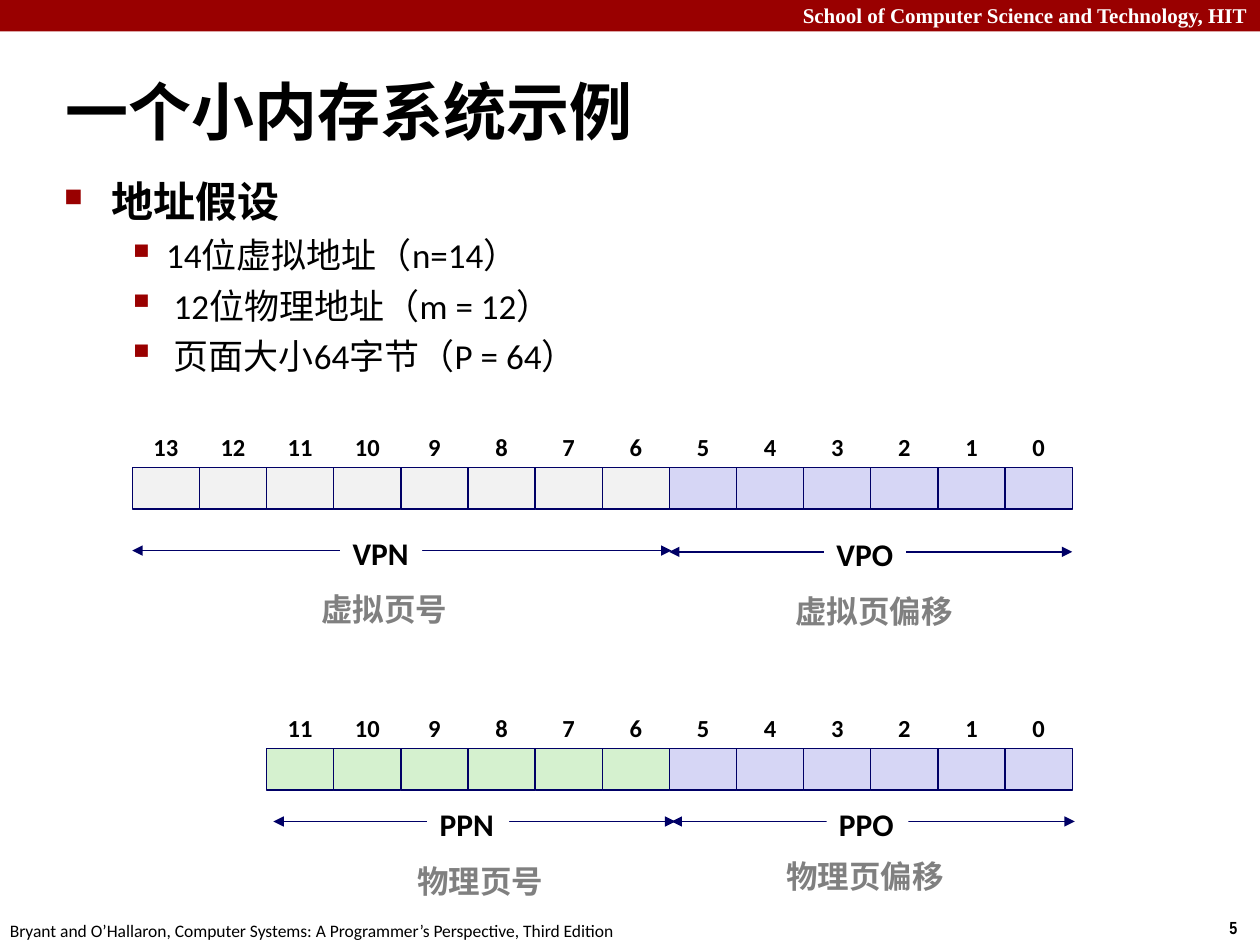
import pptx
import pptx.util
import pptx.dml.color
import pptx.enum.shapes
import pptx.enum.text
import pptx.oxml.ns
import lxml.etree

Inches, Pt = pptx.util.Inches, pptx.util.Pt
RGB = pptx.dml.color.RGBColor
ALIGN = pptx.enum.text.PP_ALIGN
MIDDLE = pptx.enum.text.MSO_ANCHOR.MIDDLE
RECT = pptx.enum.shapes.MSO_SHAPE.RECTANGLE
STRAIGHT = pptx.enum.shapes.MSO_CONNECTOR.STRAIGHT

RED = RGB(0x99, 0x00, 0x00)
NAVY = RGB(0x00, 0x00, 0x66)
BLACK = RGB(0x00, 0x00, 0x00)
WHITE = RGB(0xFF, 0xFF, 0xFF)
GREY = RGB(0x80, 0x80, 0x80)
PALE = RGB(0xF2, 0xF2, 0xF2)
BLUE = RGB(0xD6, 0xD6, 0xF5)
GREEN = RGB(0xD5, 0xF1, 0xCF)

# Bit grid: bit 0 ends at the right edge, each bit is one column
EDGE, COL, ROW = 8.51, 7.46 / 14, 0.33

deck = pptx.Presentation()
deck.slide_width, deck.slide_height = Inches(10), Inches(7.5)
slide = deck.slides.add_slide(deck.slide_layouts[5])
shapes = slide.shapes


def write(box, text, size, color=BLACK, align=ALIGN.LEFT, face="Calibri", bold=True):
    frame = box.text_frame
    frame.word_wrap = False
    frame.vertical_anchor = MIDDLE
    frame.text = text
    para = frame.paragraphs[0]
    para.alignment = align
    font = para.runs[0].font
    font.size, font.name, font.bold = Pt(size), face, bold
    font.color.rgb = color


def add(parent, tag, **attrs):
    return lxml.etree.SubElement(parent, pptx.oxml.ns.qn(tag), **attrs)


# Header band and footer
band = shapes.add_shape(RECT, 0, 0, deck.slide_width, Inches(0.25))
band.shadow.inherit = False
band.fill.solid()
band.fill.fore_color.rgb = RED
band.line.fill.background()
head = shapes.add_textbox(0, Inches(-0.03), deck.slide_width, Inches(0.3))
write(head, "School of Computer Science and Technology, HIT", 12, WHITE,
      ALIGN.RIGHT, "Times New Roman")
page = shapes.add_textbox(Inches(9.66), Inches(7.23), Inches(0.34), Inches(0.27))
write(page, "5", 10, face="Arial Narrow")
foot = shapes.add_textbox(Inches(-0.02), Inches(7.25), Inches(5.08), Inches(0.27))
write(foot, "Bryant and O’Hallaron, Computer Systems: "
      "A Programmer’s Perspective, Third Edition", 10, bold=False)

# Title
title = shapes.title
title.left, title.top = Inches(0.42), Inches(0.56)
title.width, title.height = Inches(7.99), Inches(0.63)
write(title, "一个小内存系统示例", 36)

# Assumptions: text, level, size, indent, hang, bullet, bullet share
points = [
    ("地址假设", 0, 24, 0.38, 0.38, "■", "60000"),
    ("14位虚拟地址（n=14）", 1, 20, 0.81, 0.31, "▪", "110000"),
    ("12位物理地址（m = 12）", 1, 20, 0.87, 0.37, "▪", "110000"),
    ("页面大小64字节（P = 64）", 1, 20, 0.87, 0.37, "▪", "110000"),
]
body = shapes.add_textbox(Inches(0.41), Inches(1.34), Inches(9.09), Inches(1.73))
frame = body.text_frame
frame.word_wrap = True
for i, (text, level, size, left, hang, mark, share) in enumerate(points):
    para = frame.add_paragraph() if i else frame.paragraphs[0]
    para.text = text
    para.level = level
    if i:
        para.space_before = Pt(4.8)
    props = para._p.get_or_add_pPr()
    props.set("marL", str(Inches(left)))
    props.set("indent", str(-Inches(hang)))
    add(add(props, "a:buClr"), "a:srgbClr", val=str(RED))
    add(props, "a:buSzPct", val=share)
    add(props, "a:buChar", char=mark)
    font = para.runs[0].font
    font.size, font.name, font.bold = Pt(size), "Calibri", level == 0
    font.color.rgb = BLACK

# Virtual and physical address bits: count, top of cells, page number fill
for count, top, fill in [(14, 3.71, PALE), (12, 5.94, GREEN)]:
    for bit in reversed(range(count)):
        left = Inches(EDGE - (bit + 1) * COL)
        cell = shapes.add_shape(RECT, left, Inches(top), Inches(COL), Inches(ROW))
        cell.shadow.inherit = False
        cell.fill.solid()
        cell.fill.fore_color.rgb = BLUE if bit < 6 else fill
        cell.line.color.rgb = NAVY
        cell.line.width = Pt(0.75)
        label = shapes.add_textbox(left, Inches(top - ROW), Inches(COL), Inches(ROW))
        write(label, str(bit), 14, align=ALIGN.CENTER)

# Field spans: name, start, end, line height, name's left edge
spans = [
    ("VPO", 5.31, 8.51, 4.38, 6.54),
    ("PPO", 5.33, 8.53, 6.52, 6.56),
    ("PPN", 2.17, 5.36, 6.52, 3.39),
    ("VPN", 1.05, 5.33, 4.37, 2.70),
]
for name, start, end, y, left in spans:
    arrow = shapes.add_connector(STRAIGHT, Inches(start), Inches(y), Inches(end), Inches(y))
    arrow.line.color.rgb = NAVY
    arrow.line.width = Pt(0.75)
    stroke = arrow.line._get_or_add_ln()
    add(stroke, "a:headEnd", type="triangle")
    add(stroke, "a:tailEnd", type="triangle")
    add(arrow._element.spPr, "a:effectLst")
    tag = shapes.add_shape(RECT, Inches(left), Inches(y - 0.16), Inches(0.65), Inches(0.36))
    tag.shadow.inherit = False
    tag.fill.solid()
    tag.fill.fore_color.rgb = WHITE
    tag.line.fill.background()
    write(tag, name, 18)

# Field meanings
notes = [
    ("虚拟页号", 2.44, 4.65, 1.22),
    ("虚拟页偏移", 6.20, 4.67, 1.47),
    ("物理页号", 3.20, 6.81, 1.22),
    ("物理页偏移", 6.13, 6.77, 1.47),
]
for text, left, top, width in notes:
    note = shapes.add_textbox(Inches(left), Inches(top), Inches(width), Inches(0.36))
    write(note, text, 18, GREY, ALIGN.CENTER)

deck.save("out.pptx")
